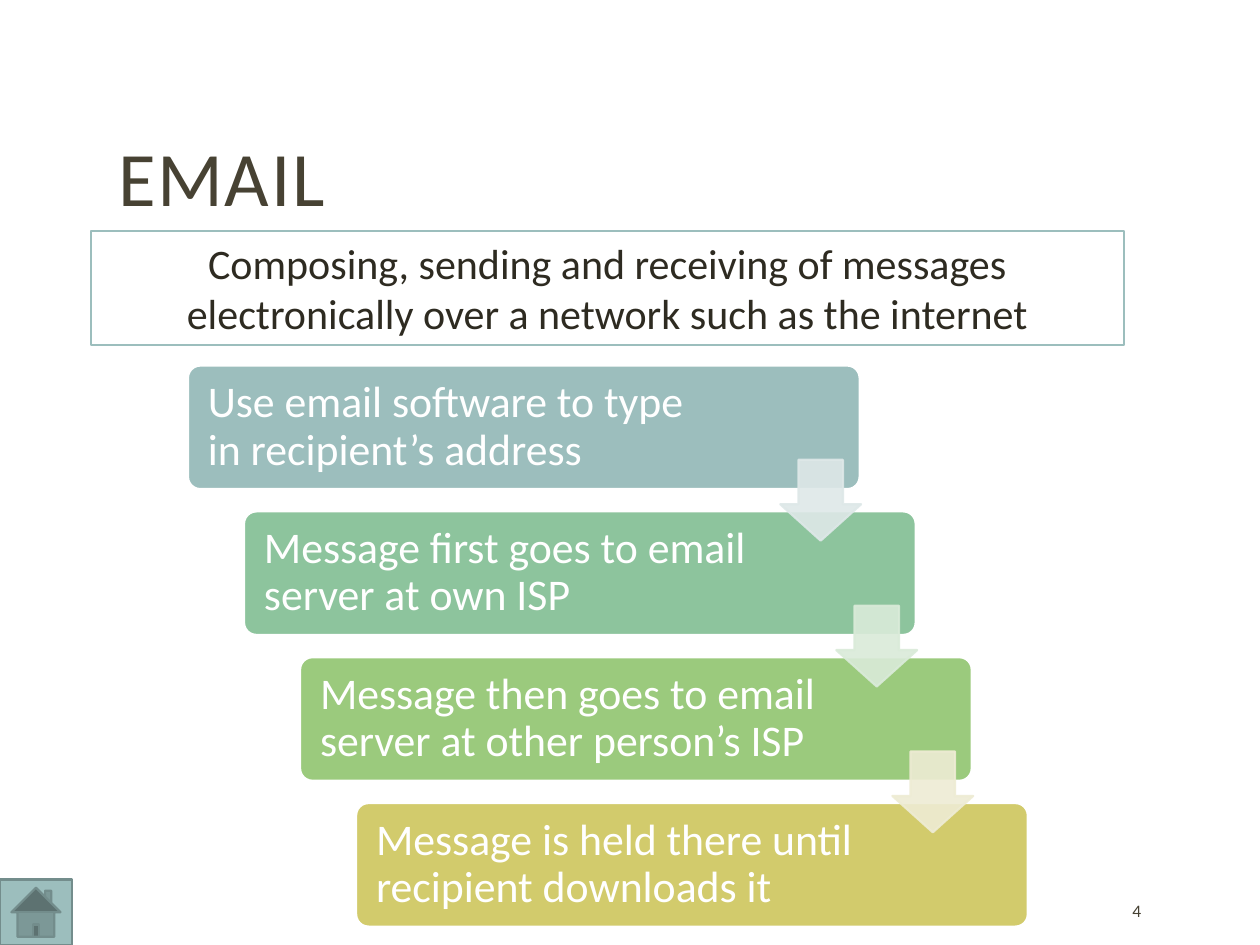
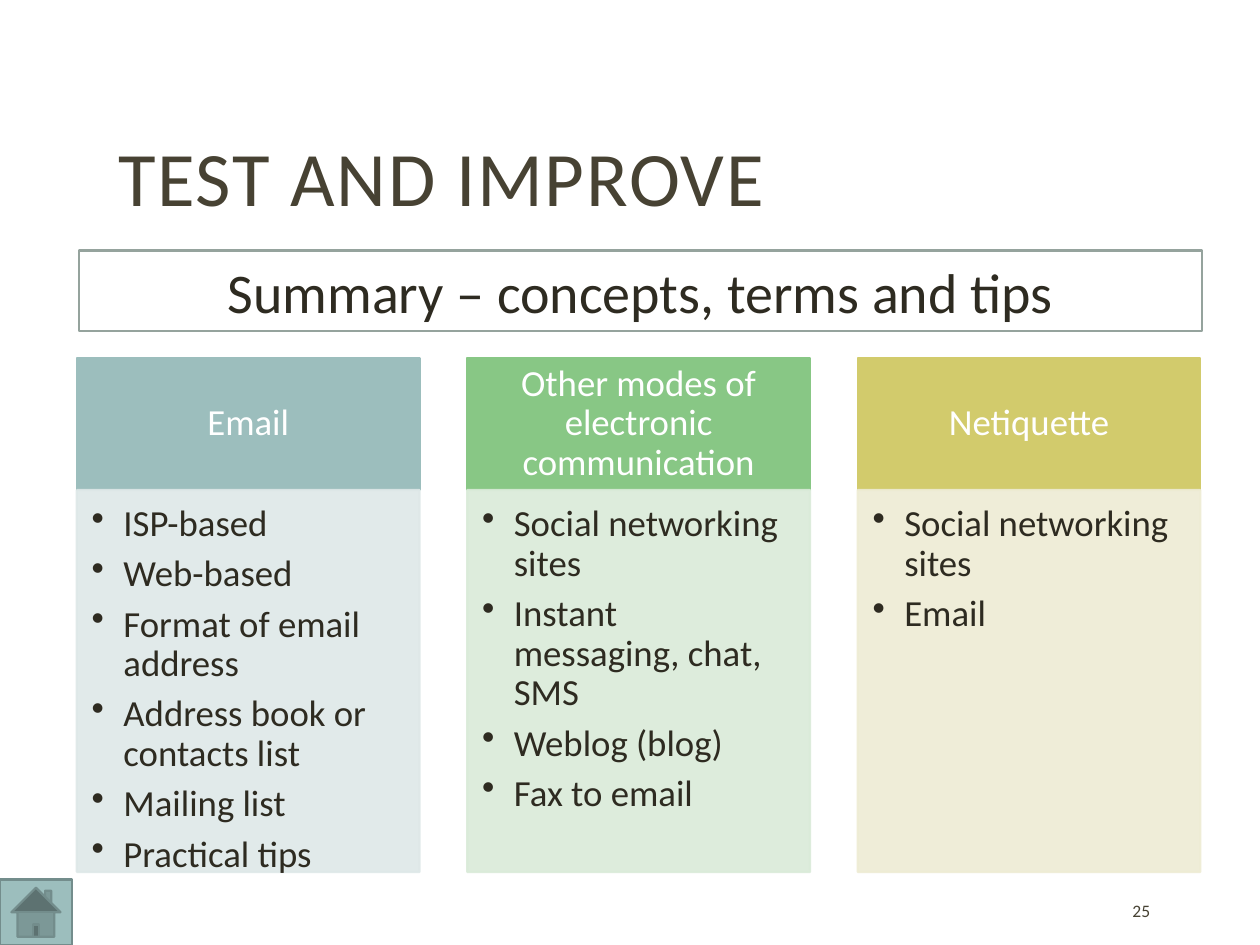
from dataclasses import dataclass

from lxml.etree import SubElement
from pptx import Presentation
from pptx.dml.color import RGBColor
from pptx.enum.shapes import MSO_SHAPE as Preset
from pptx.enum.text import MSO_ANCHOR as Anchor, PP_ALIGN as Align
from pptx.oxml.ns import qn
from pptx.util import Cm, Pt


@dataclass(frozen=True)
class Theme:
    """Fonts, type sizes and colours that the slides share."""

    font: str = "Calibri"
    title_size: float = 44
    step_size: float = 25
    column_size: float = 21
    number_size: float = 10
    line_width: float = 1.25
    title: str = "474233"
    text: str = "2E2B21"
    white: str = "FFFFFF"
    teal: str = "9CBEBD"
    teal_dark: str = "738D8C"
    gray: str = "95A39D"
    sea: str = "8DC49D"
    green: str = "88C785"
    lime: str = "9BCA7D"
    olive: str = "D2CB6C"
    teal_pale: str = "DEE8E8"
    green_pale: str = "DAEBD9"
    olive_pale: str = "EEECD4"


THEME = Theme()
BANNER_INSETS = (0.25, 0.13, 0.25, 0.13)
STEP_INSETS = (0.33, 0.25, 3.05, 0.25)
HEADER_INSETS = (0.4, 0.23, 0.4, 0.23)
LIST_INSETS = (0.3, 0.3, 0.4, 0.45)


def place(shape, left, top, width, height):
    """Move and size a shape in centimetres."""
    shape.left, shape.top = Cm(left), Cm(top)
    shape.width, shape.height = Cm(width), Cm(height)


def style_paragraph(paragraph, size, color, align=Align.LEFT, line_spacing=1.0):
    """Set the font, alignment and line spacing of a paragraph."""
    paragraph.alignment = align
    paragraph.line_spacing = line_spacing
    paragraph.font.name = THEME.font
    paragraph.font.size = Pt(size)
    paragraph.font.color.rgb = RGBColor.from_string(color)


def add_bullet(paragraph):
    """Give a paragraph a hanging bullet."""
    properties = paragraph._p.get_or_add_pPr()
    properties.set("marL", str(Cm(0.64)))
    properties.set("indent", str(-Cm(0.64)))
    SubElement(properties, qn("a:buChar"), char="•")


def add_box(slide, preset, bounds, fill, line, opacity=None):
    """Add a flat filled shape, optionally translucent."""
    shape = slide.shapes.add_shape(preset, *map(Cm, bounds))
    shape.shadow.inherit = False
    shape.fill.solid()
    shape.fill.fore_color.rgb = RGBColor.from_string(fill)
    shape.line.color.rgb = RGBColor.from_string(line)
    shape.line.width = Pt(THEME.line_width)
    if opacity is not None:
        for color in list(shape.element.spPr.iter(qn("a:srgbClr"))):
            SubElement(color, qn("a:alpha"), val=str(opacity * 1000))
    return shape


def write_text(shape, lines, size, color, insets, anchor=Anchor.MIDDLE,
               align=Align.LEFT, line_spacing=0.9, bullets=False):
    """Fill a shape with one paragraph for each line."""
    frame = shape.text_frame
    frame.word_wrap = True
    frame.vertical_anchor = anchor
    (frame.margin_left, frame.margin_top,
     frame.margin_right, frame.margin_bottom) = map(Cm, insets)
    frame.text = "\n".join(lines)
    for paragraph in frame.paragraphs:
        if bullets:
            paragraph.space_after = Pt(6)
            add_bullet(paragraph)
        style_paragraph(paragraph, size, color, align, line_spacing)


def add_banner(slide, bounds, text, size, line):
    """Add the outlined statement under the title."""
    banner = add_box(slide, Preset.RECTANGLE, bounds, THEME.white, line)
    write_text(banner, [text], size, THEME.text, BANNER_INSETS,
               align=Align.CENTER, line_spacing=1.0)


def add_steps(slide, steps):
    """Add a staircase of rounded boxes."""
    for index, (text, color) in enumerate(steps):
        bounds = (3.79 + 1.13 * index, 7.37 + 2.94 * index, 13.54, 2.49)
        step = add_box(slide, Preset.ROUNDED_RECTANGLE, bounds, color, THEME.white)
        step.adjustments[0] = 0.1
        write_text(step, [text], THEME.step_size, THEME.white, STEP_INSETS)


def add_step_arrows(slide, colors):
    """Add the translucent arrows that lead down the staircase."""
    for index, color in enumerate(colors):
        bounds = (15.73 + 1.13 * index, 9.27 + 2.94 * index, 1.63, 1.63)
        arrow = add_box(slide, Preset.DOWN_ARROW, bounds, color, color, opacity=90)
        arrow.adjustments[0] = 0.55
        arrow.adjustments[1] = 0.45


def add_columns(slide, columns):
    """Add headed lists side by side."""
    for index, (heading, items, color, pale) in enumerate(columns):
        left = 1.55 + 7.87 * index
        header = add_box(slide, Preset.RECTANGLE, (left, 7.21, 6.91, 2.67), color, color)
        write_text(header, [heading], THEME.column_size, THEME.white,
                   HEADER_INSETS, align=Align.CENTER)
        body = add_box(slide, Preset.RECTANGLE, (left, 9.88, 6.91, 7.7),
                       pale, pale, opacity=90)
        write_text(body, items, THEME.column_size, THEME.text, LIST_INSETS,
                   anchor=Anchor.TOP, bullets=True)


def add_titled_slide(presentation, title):
    """Add a slide with the shared title style."""
    slide = presentation.slides.add_slide(presentation.slide_layouts[5])
    shape = slide.shapes.title
    place(shape, 2.13, 1.63, 20.24, 4.17)
    write_text(shape, [title], THEME.title_size, THEME.title, BANNER_INSETS,
               line_spacing=0.8)
    paragraph = shape.text_frame.paragraphs[0]
    paragraph._p.pPr.find(qn("a:defRPr")).set("spc", "100")
    return slide


def add_footer(slide, number):
    """Add the slide number and the home button."""
    box = slide.shapes.add_textbox(Cm(22.58), Cm(17.98), Cm(2.03), Cm(0.76))
    write_text(box, [str(number)], THEME.number_size, THEME.title, BANNER_INSETS,
               line_spacing=1.0)
    add_box(slide, Preset.ACTION_BUTTON_HOME, (0, 17.73, 1.45, 1.32),
            THEME.teal, THEME.teal_dark)


def add_email_slide(presentation):
    """Build the slide on how an email travels."""
    slide = add_titled_slide(presentation, "EMAIL")
    add_banner(slide, (1.83, 4.65, 20.83, 2.31),
               "Composing, sending and receiving of messages electronically "
               "over a network such as the internet", 24, THEME.teal)
    add_steps(slide, [
        ("Use email software to type in recipient’s address", THEME.teal),
        ("Message first goes to email server at own ISP", THEME.sea),
        ("Message then goes to email server at other person’s ISP", THEME.lime),
        ("Message is held there until recipient downloads it", THEME.olive),
    ])
    add_step_arrows(slide, [THEME.teal_pale, THEME.green_pale, THEME.olive_pale])
    add_footer(slide, 4)


def add_summary_slide(presentation):
    """Build the slide that sums up concepts, terms and tips."""
    slide = add_titled_slide(presentation, "TEST AND IMPROVE")
    add_banner(slide, (1.6, 5.05, 22.63, 1.63),
               "Summary – concepts, terms and tips", 32, THEME.gray)
    add_columns(slide, [
        ("Email",
         ["ISP-based", "Web-based", "Format of email address",
          "Address book or contacts list", "Mailing list", "Practical tips"],
         THEME.teal, THEME.teal_pale),
        ("Other modes of electronic communication",
         ["Social networking sites", "Instant messaging, chat, SMS",
          "Weblog (blog)", "Fax to email"],
         THEME.green, THEME.green_pale),
        ("Netiquette", ["Social networking sites", "Email"],
         THEME.olive, THEME.olive_pale),
    ])
    add_footer(slide, 25)


def main():
    """Build and save the presentation."""
    presentation = Presentation()
    presentation.slide_width, presentation.slide_height = Cm(25.4), Cm(19.05)
    add_email_slide(presentation)
    add_summary_slide(presentation)
    presentation.save("out.pptx")


if __name__ == "__main__":
    main()
